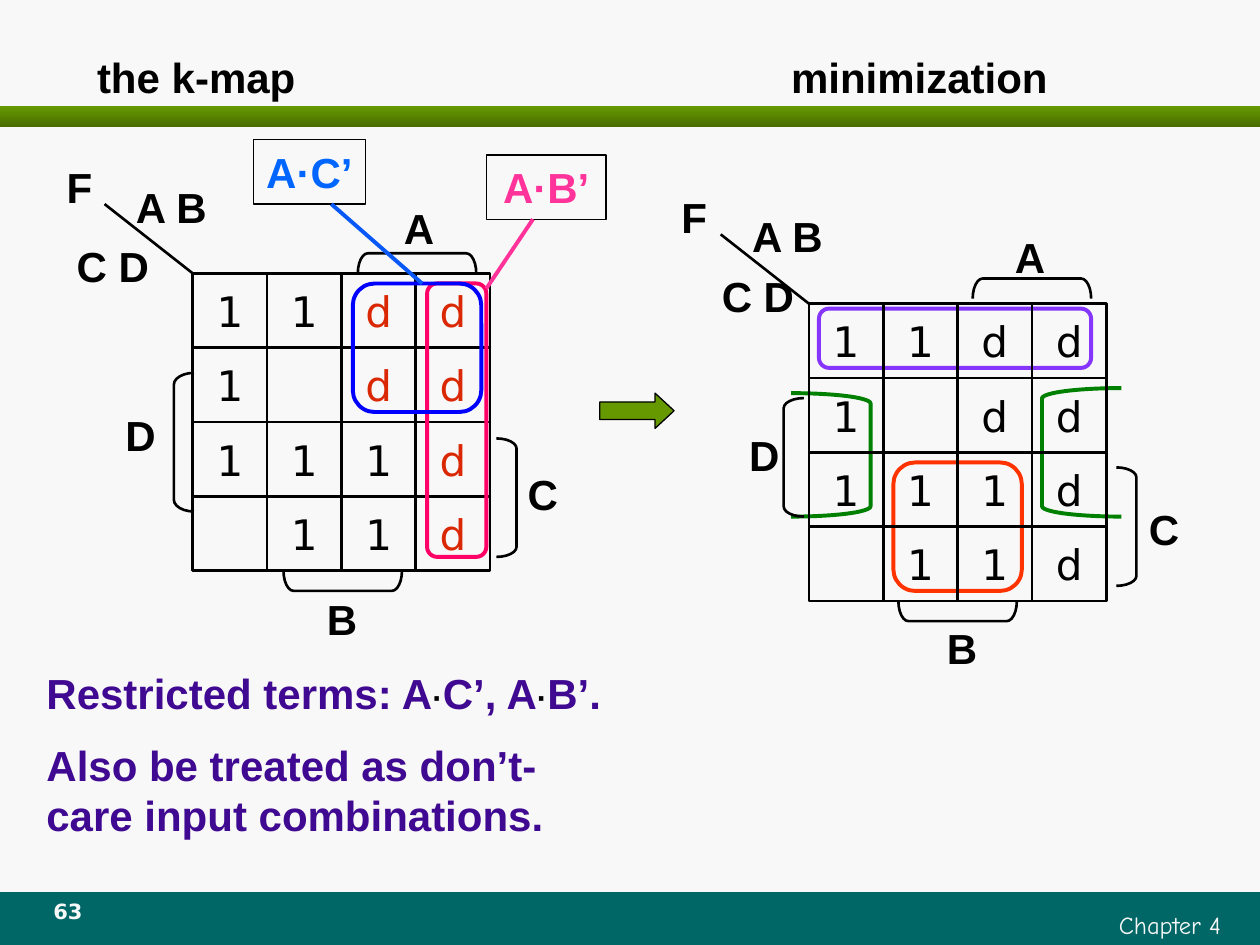
import pptx
import pptx.util
import pptx.dml.color
import pptx.enum.shapes
import pptx.enum.text
import pptx.oxml

PX = 9144
CELL = 59
SHAPE = pptx.enum.shapes.MSO_SHAPE
ALIGN = pptx.enum.text.PP_ALIGN
ANCHOR = pptx.enum.text.MSO_ANCHOR
COLORS = {
    "background": "F8F8F8", "ink": "000000", "footer": "006666",
    "green": "669900", "dark_green": "496D00", "restricted": "DA2804",
    "note": "400991", "blue": "0066FF", "blue_line": "0858F8",
    "blue_loop": "0000FF", "pink": "FF3399", "pink_loop": "FF0066",
    "purple_loop": "8635FD", "green_loop": "008000", "orange_loop": "FF3300",
}


def px(*lengths):
    return [pptx.util.Emu(length * PX) for length in lengths]


def rgb(name):
    return pptx.dml.color.RGBColor.from_string(COLORS[name])


def write(holder, paragraphs, size=24, font="Arial", color="ink", bold=True,
          align=ALIGN.LEFT, anchor=ANCHOR.TOP, wrap=True, gap=0):
    frame = holder.text_frame
    frame.auto_size = pptx.enum.text.MSO_AUTO_SIZE.NONE
    frame.word_wrap = wrap
    frame.vertical_anchor = anchor
    if isinstance(paragraphs, str):
        paragraphs = [[(paragraphs, size, color)]]
    for index, runs in enumerate(paragraphs):
        paragraph = frame.add_paragraph() if index else frame.paragraphs[0]
        paragraph.alignment = align
        if index:
            paragraph.space_before = pptx.util.Pt(gap)
        for words, run_size, run_color in runs:
            run = paragraph.add_run()
            run.text = words
            run.font.name = font
            run.font.size = pptx.util.Pt(run_size)
            run.font.bold = bold
            run.font.color.rgb = rgb(run_color)


def add_label(slide, box, text, **style):
    label = slide.shapes.add_textbox(*px(*box))
    write(label, text, **style)


def add_block(slide, kind, box, line=None, width=1.5, fill=None, adjust=(), turn=0):
    block = slide.shapes.add_shape(kind, *px(*box))
    block.shadow.inherit = False
    block.rotation = turn
    for index, value in enumerate(adjust):
        block.adjustments[index] = value
    if fill:
        block.fill.solid()
        block.fill.fore_color.rgb = rgb(fill)
    else:
        block.fill.background()
    if line:
        block.line.color.rgb = rgb(line)
        block.line.width = pptx.util.Pt(width)
    else:
        block.line.fill.background()
    return block


def add_line(slide, start, end, color="ink", width=1.5):
    line = slide.shapes.add_connector(
        pptx.enum.shapes.MSO_CONNECTOR.STRAIGHT, *px(*start, *end))
    line.line.color.rgb = rgb(color)
    line.line.width = pptx.util.Pt(width)
    line._element.spPr.append(pptx.oxml.parse_xml(
        '<a:effectLst xmlns:a="http://schemas.openxmlformats.org/drawingml/2006/main"/>'))


def add_frame(slide, box):
    left, top, width, height = box
    add_block(slide, SHAPE.RECTANGLE, (left, top + 708, width, 42), fill="footer")
    rule = add_block(slide, SHAPE.RECTANGLE, (left, top + 84, width, 17))
    rule.fill.gradient()
    rule.fill.gradient_angle = 270
    for stop, color, position in zip(rule.fill.gradient_stops, ("green", "dark_green"), (0, 1)):
        stop.color.rgb = rgb(color)
        stop.position = position
    add_label(slide, (left + 579, top + 717, 400, 33), "Chapter 4", size=14,
              font="Comic Neue", color="background", bold=False, align=ALIGN.RIGHT)
    add_label(slide, (left + 25, top + 708, 58, 33), "63", size=12,
              font="DejaVu Sans", color="background", align=ALIGN.CENTER)


def add_headings(slide, box):
    left, top, width, height = box
    title = slide.shapes.title
    title.left, title.top, title.width, title.height = px(left, top, 347, height)
    write(title, "the k-map")
    add_label(slide, (left + width - 260, top, 260, height), "minimization")


def add_kmap(slide, origin, rows, care_color, corner, names, brackets):
    left, top = origin
    for row, values in enumerate(rows):
        for column, value in enumerate(values):
            cell = add_block(slide, SHAPE.RECTANGLE,
                             (left + column * CELL, top + row * CELL, CELL, CELL), "ink")
            if value != " ":
                write(cell, value, font="DejaVu Sans", bold=False, wrap=False,
                      color=care_color if value == "d" else "ink",
                      align=ALIGN.CENTER, anchor=ANCHOR.MIDDLE)
    add_line(slide, origin, (left - 70, top - 55))
    for text, (x, y, width) in corner.items():
        add_label(slide, (left + x, top + y, width, 50), text)
    for text, (x, y, width) in names.items():
        add_label(slide, (left + x, top + y, width, 50), text, align=ALIGN.CENTER)
    for kind, x, y, height, bend, turn in brackets:
        add_block(slide, kind, (left + x, top + y, 16, height), "ink", adjust=[bend], turn=turn)


def add_source_map(slide, origin):
    left, top = origin
    add_kmap(
        slide, origin, ("11dd", "1 dd", "111d", " 11d"), "restricted",
        {"F": (-110, -94, 55), "A B": (-55, -78, 79), "C D": (-102, -31, 79)},
        {"A": (150, -61, 59), "B": (87, 249, 63), "C": (256, 150, 43), "D": (-69, 103, 55)},
        [(SHAPE.RIGHT_BRACKET, 241, 131, 94, 0.5, 0),
         (SHAPE.LEFT_BRACKET, -15, 79, 110, 0.59, 0),
         (SHAPE.RIGHT_BRACKET, 111, 197, 94, 0.5, 90),
         (SHAPE.RIGHT_BRACKET, 170, -55, 94, 0.5, 270)])
    for x, width, height, color in ((186, 47, 217, "pink_loop"), (127, 102, 102, "blue_loop")):
        add_block(slide, SHAPE.ROUNDED_RECTANGLE, (left + x, top + 8, width, height),
                  color, 2.25, adjust=[0.17])
    callouts = (
        ("A·C’", (48, -106, 89, 51), "blue", (182, 8), (110, -55), "blue_line"),
        ("A·B’", (233, -94, 95, 51), "pink", (233, 12), (270, -43), "pink"),
    )
    for term, (x, y, width, height), color, start, end, line_color in callouts:
        callout = add_block(slide, SHAPE.RECTANGLE,
                            (left + x, top + y, width, height), "ink", 0.75)
        write(callout, term, color=color, align=ALIGN.CENTER, wrap=False)
        add_line(slide, (left + start[0], top + start[1]),
                 (left + end[0], top + end[1]), line_color, 2.25)


def add_minimized_map(slide, origin):
    left, top = origin
    loops = (
        (SHAPE.ROUNDED_RECTANGLE, (8, 4, 216, 47), "purple_loop", 0.17),
        (SHAPE.RIGHT_BRACKET, (-14, 71, 63, 98), "green_loop", 0.13),
        (SHAPE.LEFT_BRACKET, (185, 67, 63, 102), "green_loop", 0.13),
        (SHAPE.ROUNDED_RECTANGLE, (67, 126, 102, 102), "orange_loop", 0.17),
    )
    for kind, (x, y, width, height), color, bend in loops:
        add_block(slide, kind, (left + x, top + y, width, height), color, 2.25, adjust=[bend])
    add_kmap(
        slide, origin, ("11dd", "1 dd", "111d", " 11d"), "ink",
        {"F": (-111, -94, 55), "A B": (-55, -79, 79), "C D": (-79, -31, 79)},
        {"A": (146, -62, 59), "B": (90, 248, 63), "C": (260, 154, 43), "D": (-63, 95, 55)},
        [(SHAPE.RIGHT_BRACKET, 244, 130, 94, 0.5, 0),
         (SHAPE.LEFT_BRACKET, -20, 75, 94, 0.5, 0),
         (SHAPE.RIGHT_BRACKET, 110, 197, 94, 0.5, 90),
         (SHAPE.RIGHT_BRACKET, 169, -59, 94, 0.5, 270)])


def add_note(slide, box):
    dot = ("·", 18, "ink")
    add_label(slide, box, [
        [("Restricted terms: A", 24, "note"), dot, ("C’, A", 24, "note"), dot,
         ("B’.", 24, "note")],
        [("Also be treated as don’t-care input combinations.", 24, "note")],
    ], gap=12)


def main():
    deck = pptx.Presentation()
    deck.slide_width, deck.slide_height = px(1000, 750)
    slide = deck.slides.add_slide(deck.slide_layouts[5])
    slide.background.fill.solid()
    slide.background.fill.fore_color.rgb = rgb("background")
    add_frame(slide, (0, 0, 1000, 750))
    add_headings(slide, (67, 36, 811, 50))
    add_source_map(slide, (153, 217))
    add_note(slide, (27, 525, 465, 150))
    add_block(slide, SHAPE.RIGHT_ARROW, (476, 312, 59, 28), "ink", 0.75, "green", (0.5, 0.54))
    add_minimized_map(slide, (642, 241))
    deck.save("out.pptx")


if __name__ == "__main__":
    main()
